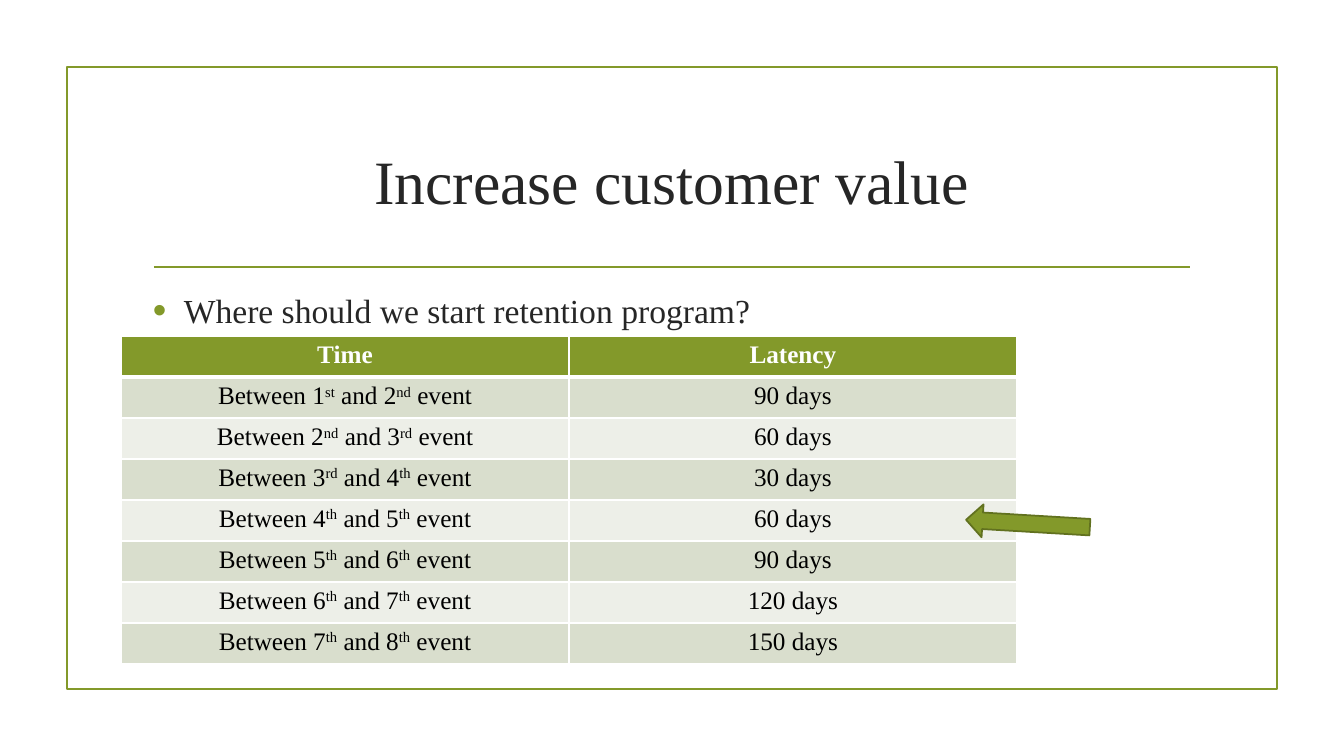
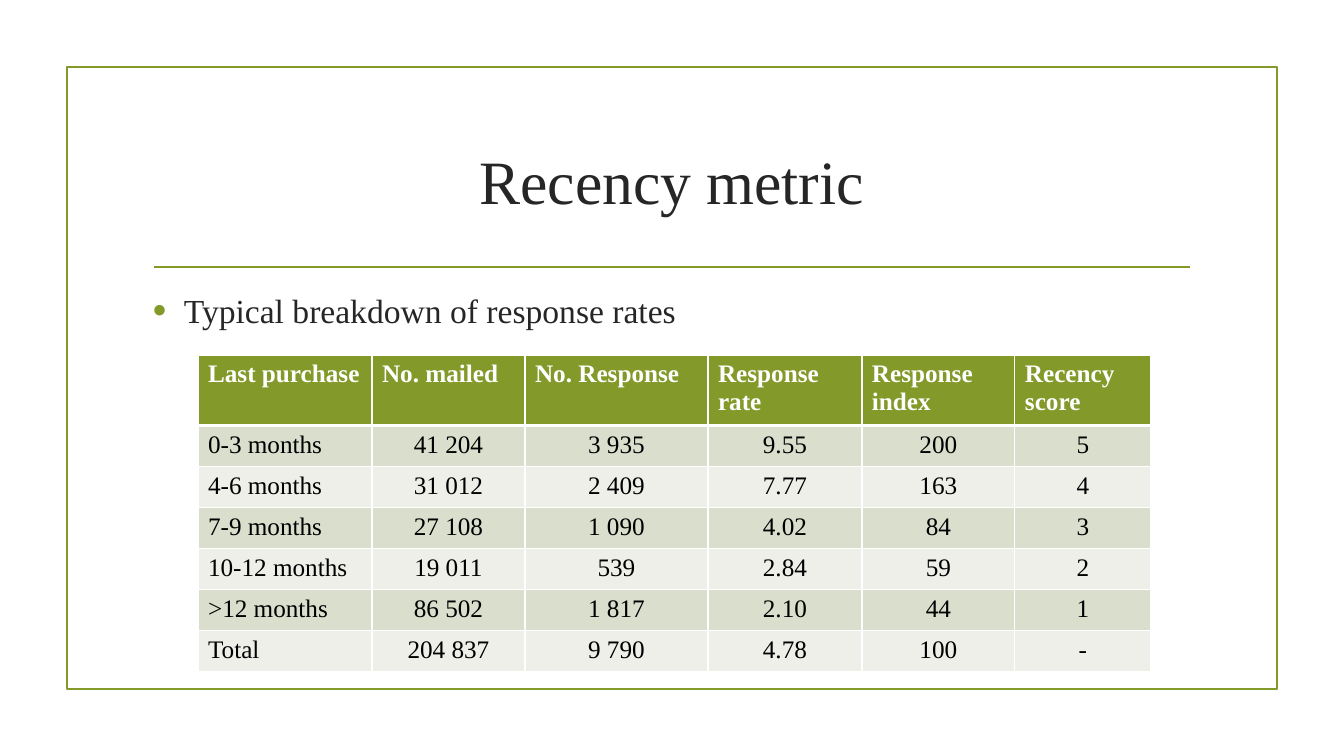
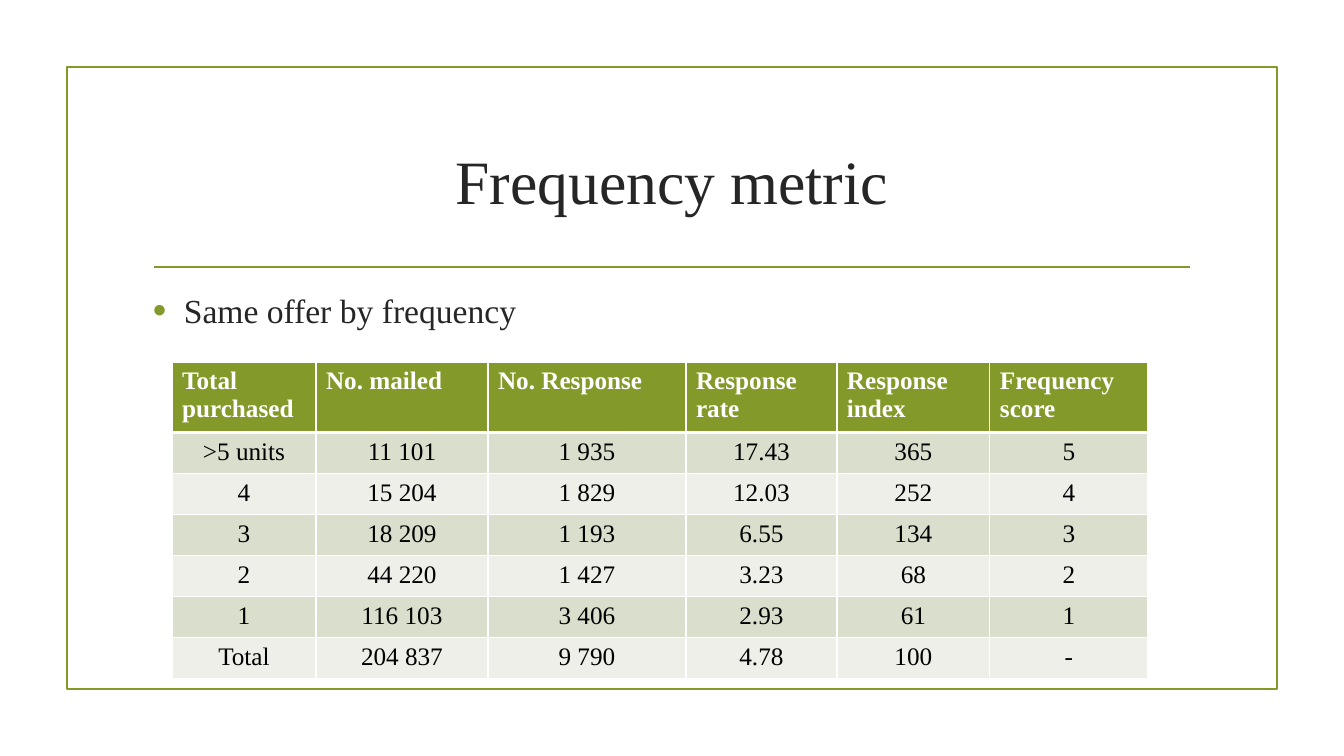
from lxml import etree
from pptx import Presentation
from pptx.dml.color import RGBColor
from pptx.enum.shapes import MSO_CONNECTOR, MSO_SHAPE
from pptx.enum.text import MSO_ANCHOR, PP_ALIGN
from pptx.oxml.ns import qn
from pptx.util import Emu, Pt

FONT = "Times New Roman"
GREEN, DARK_GREEN, INK = "83992A", "61711F", "262626"
WHITE, BLACK = "FFFFFF", "000000"
BANDS = ("D9DECD", "EDEFE8")
LEFT, CENTER = PP_ALIGN.LEFT, PP_ALIGN.CENTER

SLIDE_SIZE = (1344, 756)
FRAME = (67, 67, 1210, 622)
RULE = (154, 267, 1190, 267)
TITLE_BOX = (143, 108, 1058, 144)
BODY_BOX = (143, 285, 1058, 363)
BULLET_INDENT = 31
ROW_HEIGHT = 41
ARROW = (966, 507, 124, 33)
ARROW_ROTATION = 183.4

# Text between carets is superscript.
SLIDES = [
    {
        "title": "Increase customer value",
        "bullet": "Where should we start retention program?",
        "table_at": (121, 336),
        "columns": (448, 448),
        "header_height": 41,
        "header_align": CENTER,
        "first_column_align": CENTER,
        "arrow": True,
        "rows": [
            ("Time", "Latency"),
            ("Between 1^st^ and 2^nd^ event", "90 days"),
            ("Between 2^nd^ and 3^rd^ event", "60 days"),
            ("Between 3^rd^ and 4^th^ event", "30 days"),
            ("Between 4^th^ and 5^th^ event", "60 days"),
            ("Between 5^th^ and 6^th^ event", "90 days"),
            ("Between 6^th^ and 7^th^ event", "120 days"),
            ("Between 7^th^ and 8^th^ event", "150 days"),
        ],
    },
    {
        "title": "Recency metric",
        "bullet": "Typical breakdown of response rates",
        "table_at": (198, 355),
        "columns": (174, 153, 183, 154, 153, 136),
        "header_height": 66,
        "header_align": LEFT,
        "first_column_align": LEFT,
        "arrow": False,
        "rows": [
            ("Last purchase", "No. mailed", "No. Response", "Response rate",
             "Response index", "Recency score"),
            ("0-3 months", "41 204", "3 935", "9.55", "200", "5"),
            ("4-6 months", "31 012", "2 409", "7.77", "163", "4"),
            ("7-9 months", "27 108", "1 090", "4.02", "84", "3"),
            ("10-12 months", "19 011", "539", "2.84", "59", "2"),
            (">12 months", "86 502", "1 817", "2.10", "44", "1"),
            ("Total", "204 837", "9 790", "4.78", "100", "-"),
        ],
    },
    {
        "title": "Frequency metric",
        "bullet": "Same offer by frequency",
        "table_at": (172, 362),
        "columns": (144, 172, 198, 151, 153, 158),
        "header_height": 66,
        "header_align": LEFT,
        "first_column_align": CENTER,
        "arrow": False,
        "rows": [
            ("Total purchased", "No. mailed", "No. Response", "Response rate",
             "Response index", "Frequency score"),
            (">5 units", "11 101", "1 935", "17.43", "365", "5"),
            ("4", "15 204", "1 829", "12.03", "252", "4"),
            ("3", "18 209", "1 193", "6.55", "134", "3"),
            ("2", "44 220", "1 427", "3.23", "68", "2"),
            ("1", "116 103", "3 406", "2.93", "61", "1"),
            ("Total", "204 837", "9 790", "4.78", "100", "-"),
        ],
    },
]


def px(length):
    return Emu(round(length * 914400 / 100.8))


def box(lengths):
    return [px(length) for length in lengths]


def color(hex_string):
    return RGBColor.from_string(hex_string)


def style_font(font, size, hex_color, bold=False):
    for name, value in {"name": FONT, "size": Pt(size), "bold": bold}.items():
        setattr(font, name, value)
    font.color.rgb = color(hex_color)


def style_line(line, hex_color):
    line.color.rgb = color(hex_color)
    line.width = Pt(1.25)


def set_up_layout(layout, slide):
    """Draw the frame and rule on the slide, then move them to its layout."""
    frame = slide.shapes.add_shape(MSO_SHAPE.RECTANGLE, *box(FRAME))
    frame.shadow.inherit = False
    frame.fill.background()
    rule = slide.shapes.add_connector(MSO_CONNECTOR.STRAIGHT, *box(RULE))
    etree.SubElement(rule.element.spPr, qn("a:effectLst"))
    for shape in (frame, rule):
        style_line(shape.line, GREEN)
        layout.shapes.element.append(shape.element)


def add_title(slide, text):
    title = slide.shapes.title
    title.left, title.top, title.width, title.height = box(TITLE_BOX)
    title.text_frame.vertical_anchor = MSO_ANCHOR.MIDDLE
    paragraph = title.text_frame.paragraphs[0]
    paragraph.text = text
    paragraph.alignment = CENTER
    style_font(paragraph.runs[0].font, 44, INK)


def add_bullet(slide, text):
    frame = slide.shapes.add_textbox(*box(BODY_BOX)).text_frame
    frame.word_wrap = True
    paragraph = frame.paragraphs[0]
    properties = paragraph._p.get_or_add_pPr()
    properties.set("marL", str(px(BULLET_INDENT)))
    properties.set("indent", str(-px(BULLET_INDENT)))
    bullet_color = etree.SubElement(properties, qn("a:buClr"))
    etree.SubElement(bullet_color, qn("a:srgbClr"), val=GREEN)
    etree.SubElement(properties, qn("a:buSzPct"), val="115000")
    etree.SubElement(properties, qn("a:buFont"), typeface="Arial")
    etree.SubElement(properties, qn("a:buChar"), char="•")
    run = paragraph.add_run()
    run.text = text
    style_font(run.font, 24, INK)


def set_borders(cell, top, bottom):
    """Give the cell white borders; top and bottom are widths in points."""
    properties = cell._tc.get_or_add_tcPr()
    widths = {"a:lnL": 1, "a:lnR": 1, "a:lnT": top, "a:lnB": bottom}
    for index, (tag, width) in enumerate(widths.items()):
        border = etree.Element(qn(tag), w=str(Pt(width)))
        fill = etree.SubElement(border, qn("a:solidFill"))
        etree.SubElement(fill, qn("a:srgbClr"), val=WHITE)
        properties.insert(index, border)


def fill_cell(cell, text, align, row_index):
    header = row_index == 0
    cell.fill.solid()
    cell.fill.fore_color.rgb = color(GREEN if header else BANDS[(row_index - 1) % 2])
    set_borders(cell, 3 if row_index == 1 else 1, 3 if header else 1)
    paragraph = cell.text_frame.paragraphs[0]
    paragraph.alignment = align
    for index, part in enumerate(text.split("^")):
        run = paragraph.add_run()
        run.text = part
        style_font(run.font, 18, WHITE if header else BLACK, header)
        if index % 2:
            run._r.get_or_add_rPr().set("baseline", "30000")


def add_data_table(slide, content):
    rows, columns = content["rows"], content["columns"]
    heights = [content["header_height"]] + [ROW_HEIGHT] * (len(rows) - 1)
    size = (sum(columns), sum(heights))
    table = slide.shapes.add_table(
        len(rows), len(columns), *box(content["table_at"] + size)).table
    for column, width in zip(table.columns, columns):
        column.width = px(width)
    for row_index, (row, height) in enumerate(zip(rows, heights)):
        table.rows[row_index].height = px(height)
        for column_index, text in enumerate(row):
            if row_index == 0:
                align = content["header_align"]
            else:
                align = CENTER if column_index else content["first_column_align"]
            fill_cell(table.cell(row_index, column_index), text, align, row_index)


def add_arrow(slide):
    arrow = slide.shapes.add_shape(MSO_SHAPE.RIGHT_ARROW, *box(ARROW))
    arrow.rotation = ARROW_ROTATION
    arrow.shadow.inherit = False
    arrow.fill.solid()
    arrow.fill.fore_color.rgb = color(GREEN)
    style_line(arrow.line, DARK_GREEN)


def main():
    presentation = Presentation()
    presentation.slide_width, presentation.slide_height = box(SLIDE_SIZE)
    layout = presentation.slide_layouts[5]
    for index, content in enumerate(SLIDES):
        slide = presentation.slides.add_slide(layout)
        if index == 0:
            set_up_layout(layout, slide)
        add_title(slide, content["title"])
        add_bullet(slide, content["bullet"])
        add_data_table(slide, content)
        if content["arrow"]:
            add_arrow(slide)
    presentation.save("out.pptx")


if __name__ == "__main__":
    main()
